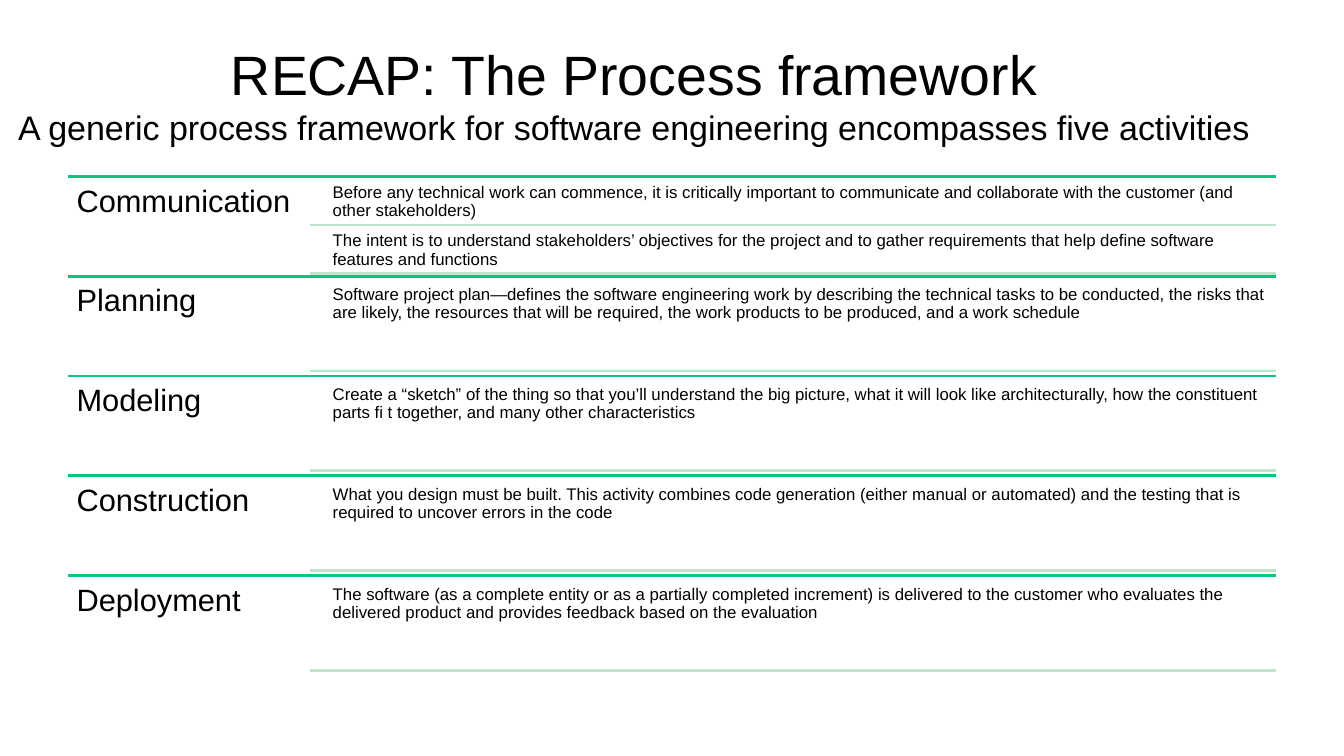
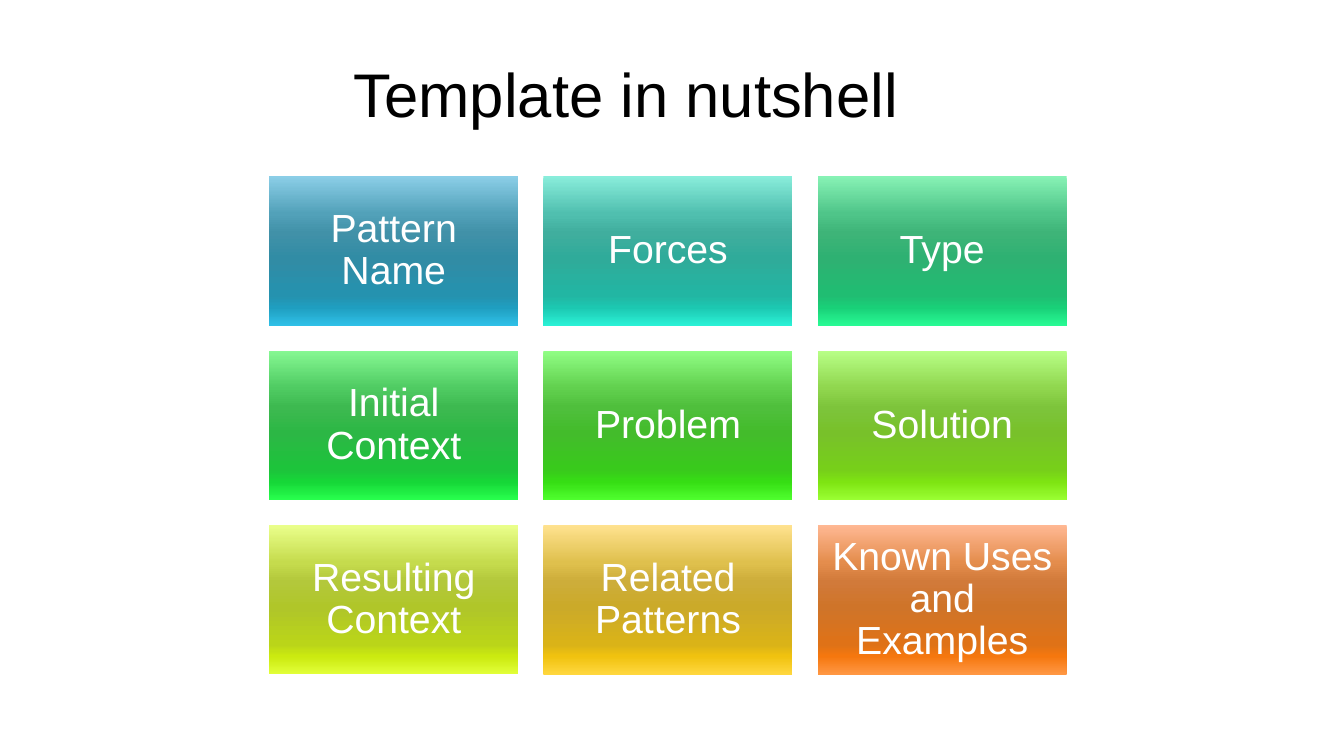
from lxml.etree import SubElement
from pptx import Presentation
from pptx.dml.color import RGBColor
from pptx.enum.shapes import MSO_CONNECTOR, MSO_SHAPE
from pptx.enum.text import MSO_ANCHOR, MSO_AUTO_SIZE, PP_ALIGN
from pptx.oxml.ns import qn
from pptx.util import Inches, Pt

FONT = "Arial"
COLORS = {
    "text": "000000",
    "light": "FFFFFF",
    "rule": "09C77A",
    "thin": "BDE5CB",
}

# Gradient stops in percent, shared by all tiles
STOPS = (0, 25, 38, 55, 80, 88, 100)
TILES = {
    "Pattern Name": "8BCEE7 52A1B9 4191A8 318CA5 2592AF 1F9EC0 2FC0E7",
    "Forces": "89EDDB 50BFAF 40AE9E 2FAB9A 22B6A3 1CC8B1 2BF1D6",
    "Type": "87F2B5 4FC589 3EB478 2EB172 20BD72 19D078 28FA94",
    "Initial Context": "86F893 4FCB62 3DB950 2CB745 1DC43B 16D738 28FF4D",
    "Problem": "91FE85 61D04E 4FBF3C 43BC2B 39CA1C 36DE14 4FFF2E",
    "Solution": "B8FF87 90D64E 7DC43B 78C12A 77CF1A 7EE412 9AFF33",
    "Resulting Context": "EAFF8B C5DB4D B3C83B B0C629 BAD519 CBEA10 E2FF39",
    "Related Patterns": "FFE28F DFC04D CDAD3A CBAA29 DAB318 F0C20F FFD73E",
    "Known Uses and Examples": "FFB893 E48D4D D17A3A CF7429 DF7217 F5770E FF9743",
}

STEPS = {
    "Communication": [
        "Before any technical work can commence, it is critically important to "
        "communicate and collaborate with the customer (and other stakeholders)",
        "The intent is to understand stakeholders’ objectives for the project and to "
        "gather requirements that help define software features and functions",
    ],
    "Planning": [
        "Software project plan—defines the software engineering work by describing the "
        "technical tasks to be conducted, the risks that are likely, the resources that "
        "will be required, the work products to be produced, and a work schedule",
    ],
    "Modeling": [
        "Create a “sketch” of the thing so that you’ll understand the big picture, what "
        "it will look like architecturally, how the constituent parts fi t together, "
        "and many other characteristics",
    ],
    "Construction": [
        "What you design must be built. This activity combines code generation (either "
        "manual or automated) and the testing that is required to uncover errors in the code",
    ],
    "Deployment": [
        "The software (as a complete entity or as a partially completed increment) is "
        "delivered to the customer who evaluates the delivered product and provides "
        "feedback based on the evaluation",
    ],
}


def style(run, size, color):
    run.font.name = FONT
    run.font.size = Pt(size)
    run.font.color.rgb = RGBColor.from_string(COLORS[color])


def fill_text(shape, text, size, inset, color="text", align=PP_ALIGN.LEFT,
              anchor=MSO_ANCHOR.TOP):
    frame = shape.text_frame
    frame.text = text
    frame.word_wrap = True
    frame.vertical_anchor = anchor
    frame.margin_left = frame.margin_right = Inches(inset)
    frame.margin_top = frame.margin_bottom = Inches(inset)
    para = frame.paragraphs[0]
    para.alignment = align
    para.line_spacing = 0.9
    style(para.runs[0], size, color)


def add_title(slide, left, width, lines, sizes):
    title = slide.shapes.title
    title.left, title.top = Inches(left), Inches(0.3)
    title.width, title.height = Inches(width), Inches(1.25)
    frame = title.text_frame
    frame.auto_size = MSO_AUTO_SIZE.NONE
    frame.word_wrap = True
    frame.vertical_anchor = MSO_ANCHOR.MIDDLE
    para = frame.paragraphs[0]
    para.text = "\v".join(lines)
    para.alignment = PP_ALIGN.CENTER
    for run, size in zip(para.runs, sizes):
        style(run, size, "text")
    # A line break takes the size of the line it ends
    for br, size in zip(para._p.findall(qn("a:br")), sizes):
        SubElement(br, qn("a:rPr"), sz=str(round(size * 100)))


def add_label(slide, left, top, width, height, text, size, inset):
    box = slide.shapes.add_textbox(
        Inches(left), Inches(top), Inches(width), Inches(height))
    fill_text(box, text, size, inset)


def add_rule(slide, left, right, y, color):
    line = slide.shapes.add_connector(
        MSO_CONNECTOR.STRAIGHT, Inches(left), Inches(y), Inches(right), Inches(y))
    line.line.color.rgb = RGBColor.from_string(COLORS[color])
    line.line.width = Pt(2)
    SubElement(line._element.spPr, qn("a:effectLst"))


def add_step(slide, top, height, name, notes):
    left, split, right = 0.67, 3.07, 12.66
    add_rule(slide, left, right, top, "rule")
    add_label(slide, left, top, split - left, height, name, 22, 0.09)
    # Notes share the height, with equal gaps around them
    count = len(notes)
    gap = 0.05 / count
    tall = (height - gap * (count + 1)) / count
    for i, note in enumerate(notes):
        y = top + gap + i * (tall + gap)
        add_label(slide, 3.25, y, 9.42, tall, note, 12, 0.05)
        add_rule(slide, split, right, y + tall, "thin")


def add_tile(slide, left, top, width, height, text, shades):
    tile = slide.shapes.add_shape(
        MSO_SHAPE.RECTANGLE, Inches(left), Inches(top), Inches(width), Inches(height))
    tile.shadow.inherit = False
    tile.line.fill.background()
    tile.fill.gradient()
    tile.fill.gradient_angle = 270
    stops = tile._element.spPr.find(qn("a:gradFill")).find(qn("a:gsLst"))
    for old in list(stops):
        stops.remove(old)
    for pos, shade in zip(STOPS, shades.split()):
        stop = SubElement(stops, qn("a:gs"), pos=str(pos * 1000))
        SubElement(stop, qn("a:srgbClr"), val=shade)
    fill_text(tile, text, 28, 0.12, "light", PP_ALIGN.CENTER, MSO_ANCHOR.MIDDLE)


def main():
    prs = Presentation()
    prs.slide_width, prs.slide_height = Inches(13.33), Inches(7.5)
    layout = prs.slide_layouts[5]

    # Process framework
    slide = prs.slides.add_slide(layout)
    add_title(slide, 0.08, 12.42, [
        "RECAP: The Process framework",
        "A generic process framework for software engineering encompasses five activities",
    ], [39.6, 24.3])
    pitch = 0.99
    for i, (name, notes) in enumerate(STEPS.items()):
        add_step(slide, 1.75 + i * pitch, pitch, name, notes)

    # Pattern template
    slide = prs.slides.add_slide(layout)
    add_title(slide, 0.67, 11.08, ["Template in nutshell"], [44])
    width, height, gap = 2.47, 1.48, 0.25
    for i, (text, shades) in enumerate(TILES.items()):
        row, col = divmod(i, 3)
        add_tile(slide, 2.67 + col * (width + gap), 1.75 + row * (height + gap),
                 width, height, text, shades)

    prs.save("out.pptx")


if __name__ == "__main__":
    main()
